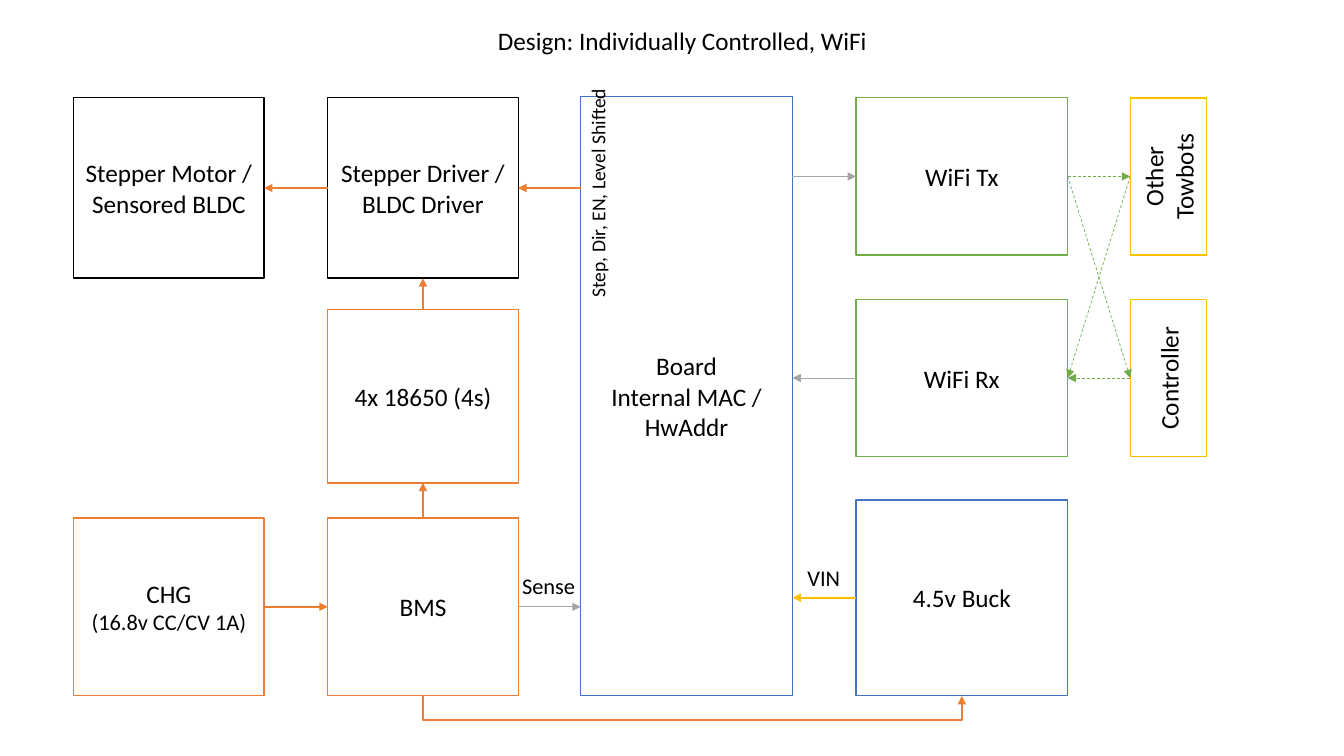
from dataclasses import dataclass

from lxml.etree import SubElement
from pptx import Presentation
from pptx.dml.color import RGBColor as Color
from pptx.enum.dml import MSO_LINE as Dash
from pptx.enum.shapes import MSO_CONNECTOR as Connector, MSO_SHAPE as Shape
from pptx.enum.text import MSO_ANCHOR as Anchor, MSO_AUTO_SIZE as AutoSize, PP_ALIGN as Align
from pptx.oxml.ns import qn
from pptx.util import Inches, Pt


@dataclass(frozen=True)
class Theme:
    """Colours, type sizes and line widths of the diagram."""
    font: str = "Calibri"
    black: str = "000000"
    white: str = "FFFFFF"
    orange: str = "ED7D31"
    blue: str = "4472C4"
    grey: str = "A5A5A5"
    gold: str = "FFC000"
    green: str = "70AD47"
    body: int = 18
    label: int = 16
    small: int = 14
    outline: float = 1
    power: float = 1.5
    signal: float = 0.5


THEME = Theme()

# Columns as (left, width)
MOTOR, DRIVER, BOARD, RADIO = (0.73, 1.89), (3.25, 1.89), (5.76, 2.1), (8.49, 2.1)
PEER = (11.21, 0.76)
# Rows as (top, height)
DRIVE_ROW, CELL_ROW, CHARGE_ROW = (0.97, 1.79), (3.07, 1.72), (5.14, 1.76)
TX_ROW, RX_ROW, BUCK_ROW = (0.97, 1.56), (2.97, 1.56), (4.96, 1.94)
BOARD_ROW = (0.96, 5.94)


def end(span):
    """Return the far edge of a column or row."""
    return span[0] + span[1]


def middle(span):
    """Return the centre of a column or row."""
    return span[0] + span[1] / 2


def style_paragraph(para, text, size):
    """Write text into a paragraph in the diagram font."""
    para.text = text
    para.font.name = THEME.font
    para.font.size = Pt(size)
    para.font.color.rgb = Color.from_string(THEME.black)


def add_box(page, column, row, color, *lines, upright=False):
    """Add an outlined block; lines are (text, size), upright turns it to read upwards."""
    width, height = column[1], row[1]
    if upright:
        width, height = height, width
    box = page.shapes.add_shape(
        Shape.RECTANGLE, Inches(middle(column) - width / 2),
        Inches(middle(row) - height / 2), Inches(width), Inches(height))
    box.rotation = 270 if upright else 0
    box.shadow.inherit = False
    box.fill.solid()
    box.fill.fore_color.rgb = Color.from_string(THEME.white)
    box.line.color.rgb = Color.from_string(color)
    box.line.width = Pt(THEME.outline)
    frame = box.text_frame
    frame.word_wrap = True
    frame.vertical_anchor = Anchor.MIDDLE
    for index, (text, size) in enumerate(lines):
        para = frame.add_paragraph() if index else frame.paragraphs[0]
        style_paragraph(para, text, size)
        para.alignment = Align.CENTER


def add_label(page, left, top, width, height, text, size, rotation=0):
    """Add a one-line free label."""
    label = page.shapes.add_textbox(Inches(left), Inches(top), Inches(width), Inches(height))
    label.rotation = rotation
    label.text_frame.word_wrap = False
    label.text_frame.auto_size = AutoSize.SHAPE_TO_FIT_TEXT
    style_paragraph(label.text_frame.paragraphs[0], text, size)


def add_arrow(page, start, finish, color, width, dashed=False, kind=Connector.STRAIGHT):
    """Add a connector with a triangle at its finish."""
    arrow = page.shapes.add_connector(kind, *(Inches(n) for n in (*start, *finish)))
    arrow.line.color.rgb = Color.from_string(color)
    arrow.line.width = Pt(width)
    if dashed:
        arrow.line.dash_style = Dash.DASH
    properties = arrow.element.spPr
    SubElement(properties.find(qn("a:ln")), qn("a:tailEnd"), type="triangle")
    SubElement(properties, qn("a:effectLst"))
    return arrow


def add_under_arrow(page, start_x, finish_x, bottom, drop, color, width):
    """Add an elbow arrow that drops below two blocks and comes up again."""
    step = 0.01
    center_x, reach = (start_x + finish_x) / 2, (finish_x - start_x) / 2
    arrow = add_arrow(page, (center_x + step / 2, bottom - reach),
                      (center_x - step / 2, bottom + reach), color, width,
                      kind=Connector.ELBOW)
    properties = arrow.element.spPr
    properties.find(qn("a:xfrm")).set("rot", str(270 * 60000))
    geometry = properties.find(qn("a:prstGeom"))
    guides = geometry.find(qn("a:avLst"))
    if guides is None:
        guides = SubElement(geometry, qn("a:avLst"))
    SubElement(guides, qn("a:gd"), name="adj1", fmla=f"val {round(drop / step * 100000)}")


def add_blocks(page):
    """Add every block of the design."""
    blocks = [
        (MOTOR, DRIVE_ROW, THEME.black, "Stepper Motor / Sensored BLDC"),
        (DRIVER, DRIVE_ROW, THEME.black, "Stepper Driver / BLDC Driver"),
        (DRIVER, CELL_ROW, THEME.orange, "4x 18650 (4s)"),
        (DRIVER, CHARGE_ROW, THEME.orange, "BMS"),
        (RADIO, BUCK_ROW, THEME.blue, "4.5v Buck"),
        (RADIO, TX_ROW, THEME.green, "WiFi Tx"),
        (RADIO, RX_ROW, THEME.green, "WiFi Rx"),
    ]
    for column, row, color, text in blocks:
        add_box(page, column, row, color, (text, THEME.body))
    add_box(page, BOARD, BOARD_ROW, THEME.blue,
            ("Board", THEME.body), ("Internal MAC / HwAddr", THEME.body))
    add_box(page, MOTOR, CHARGE_ROW, THEME.orange,
            ("CHG", THEME.body), ("(16.8v CC/CV 1A)", THEME.label))
    for row, text in ((TX_ROW, "Other Towbots"), (RX_ROW, "Controller")):
        add_box(page, PEER, row, THEME.gold, (text, THEME.body), upright=True)


def add_arrows(page):
    """Add the power, signal and radio links."""
    drive_y, charge_y, buck_y = middle(DRIVE_ROW), middle(CHARGE_ROW), middle(BUCK_ROW)
    tx_y, rx_y = middle(TX_ROW), middle(RX_ROW)
    driver_x = middle(DRIVER)

    power_links = [
        ((DRIVER[0], drive_y), (end(MOTOR), drive_y), THEME.orange),
        ((BOARD[0], drive_y), (end(DRIVER), drive_y), THEME.orange),
        ((driver_x, CELL_ROW[0]), (driver_x, end(DRIVE_ROW)), THEME.orange),
        ((driver_x, CHARGE_ROW[0]), (driver_x, end(CELL_ROW)), THEME.orange),
        ((end(MOTOR), charge_y), (DRIVER[0], charge_y), THEME.orange),
        ((RADIO[0], buck_y), (end(BOARD), buck_y), THEME.gold),
    ]
    for start, finish, color in power_links:
        add_arrow(page, start, finish, color, THEME.power)
    add_under_arrow(page, driver_x, middle(RADIO), end(CHARGE_ROW), 0.25,
                    THEME.orange, THEME.power)

    signal_links = [
        ((end(DRIVER), charge_y), (BOARD[0], charge_y)),
        ((RADIO[0], rx_y), (end(BOARD), rx_y)),
        ((end(BOARD), tx_y), (RADIO[0], tx_y)),
    ]
    for start, finish in signal_links:
        add_arrow(page, start, finish, THEME.grey, THEME.signal)

    for peer_y in (tx_y, rx_y):
        add_arrow(page, (end(RADIO), tx_y), (PEER[0], peer_y),
                  THEME.green, THEME.signal, dashed=True)
        add_arrow(page, (PEER[0], peer_y), (end(RADIO), rx_y),
                  THEME.green, THEME.signal, dashed=True)


def add_labels(page):
    """Add the title and the link names."""
    add_label(page, 4.84, 0.2, 3.91, 0.4, "Design: Individually Controlled, WiFi", THEME.body)
    add_label(page, 4.78, 1.73, 2.3, 0.34, "Step, Dir, EN, Level Shifted", THEME.small, 270)
    add_label(page, 5.08, 5.63, 0.73, 0.37, "Sense", THEME.label)
    add_label(page, 7.91, 5.55, 0.53, 0.37, "VIN", THEME.label)


def main():
    """Build and save the one-slide deck."""
    deck = Presentation()
    deck.slide_width, deck.slide_height = Inches(13.33), Inches(7.5)
    page = deck.slides.add_slide(deck.slide_layouts[6])
    add_blocks(page)
    add_arrows(page)
    add_labels(page)
    deck.save("out.pptx")


main()
